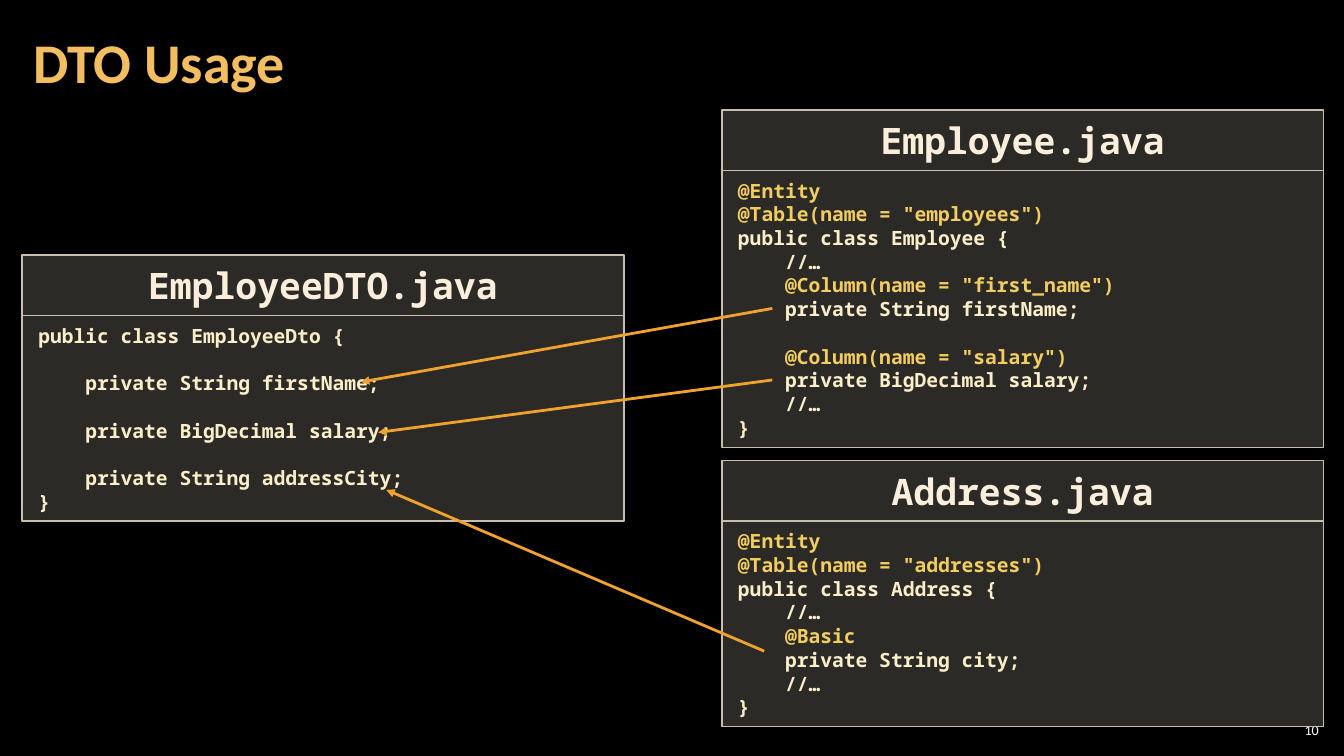
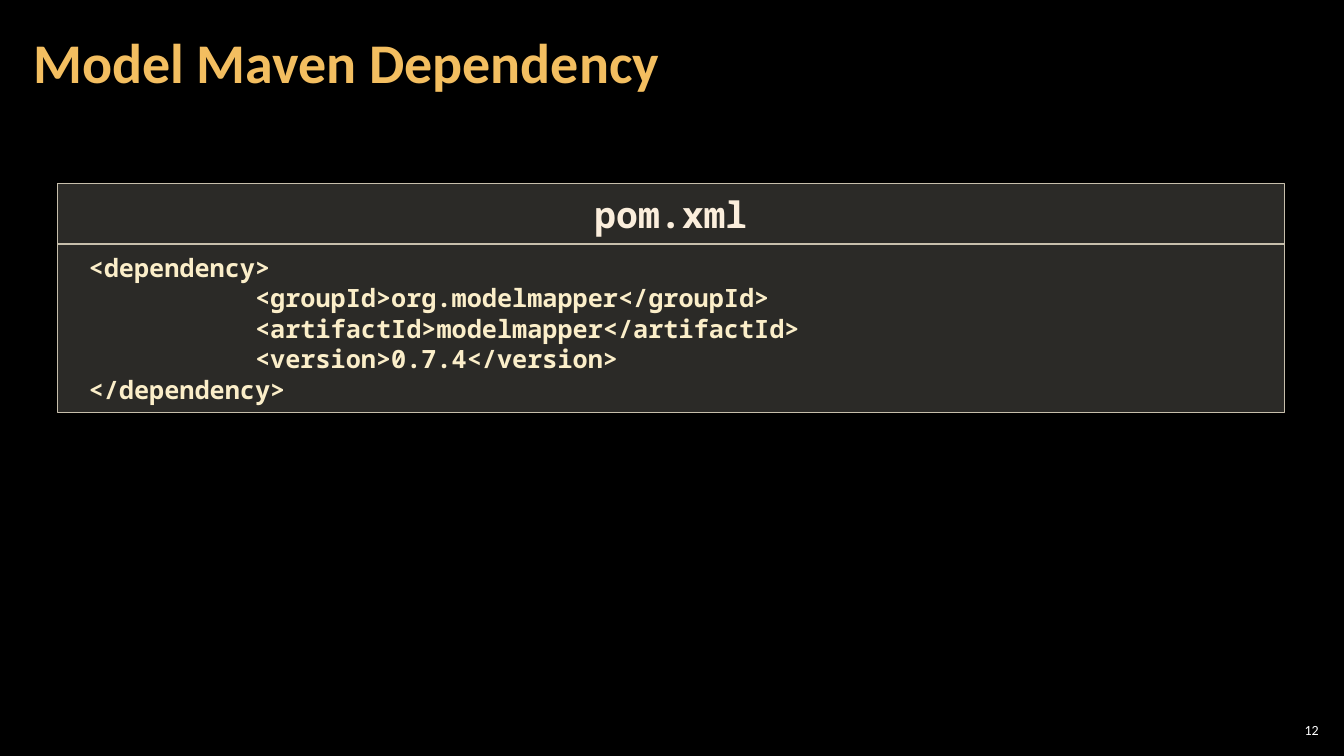
from dataclasses import dataclass

from lxml.etree import SubElement
from pptx import Presentation
from pptx.dml.color import RGBColor
from pptx.enum.shapes import MSO_CONNECTOR, MSO_SHAPE
from pptx.enum.text import MSO_ANCHOR, PP_ALIGN
from pptx.oxml.ns import qn
from pptx.util import Pt

EMU_PER_PX = 9144
PX_PER_POINT = 100 / 72
TITLE_ONLY = 5
HEADER_HEIGHT = 60


@dataclass(frozen=True)
class Theme:
    background: str = "000000"
    title: str = "F3BE60"
    page_number: str = "FFFFFF"
    panel: str = "D9D5C7"
    panel_opacity: int = 20
    border: str = "C7BFAC"
    file_name: str = "FBEEDC"
    code: str = "FBEEC9"
    annotation: str = "F3CD60"
    arrow: str = "F0A22E"
    text_font: str = "Calibri"
    code_font: str = "Noto Sans Mono"
    title_size: int = 40
    page_number_size: int = 10
    file_name_size: int = 26
    code_size: int = 14
    large_code_size: int = 18
    code_leading: float = 1.21


THEME = Theme()

EMPLOYEE = """@Entity
@Table(name = "employees")
public class Employee {
    //…
    @Column(name = "first_name")
    private String firstName;

    @Column(name = "salary")
    private BigDecimal salary;
    //…
}"""

ADDRESS = """@Entity
@Table(name = "addresses")
public class Address {
    //…
    @Basic
    private String city;
    //…
}"""

EMPLOYEE_DTO = """public class EmployeeDto {

    private String firstName;

    private BigDecimal salary;

    private String addressCity;
}"""

DEPENDENCY = """ <dependency>
            <groupId>org.modelmapper</groupId>
            <artifactId>modelmapper</artifactId>
            <version>0.7.4</version>
 </dependency>"""


def px(length):
    return int(length * EMU_PER_PX)


def color(value):
    return RGBColor.from_string(value)


def style(paragraph, font_name, size, text_color, bold=False, align=PP_ALIGN.LEFT):
    paragraph.alignment = align
    font = paragraph.font
    font.name = font_name
    font.size = Pt(size)
    font.bold = bold
    font.color.rgb = color(text_color)


def set_frame(frame, side, top, anchor):
    frame.word_wrap = True
    frame.vertical_anchor = anchor
    frame.margin_left = frame.margin_right = px(side)
    frame.margin_top = frame.margin_bottom = px(top)


def add_page_number(slide, number):
    box = slide.shapes.add_textbox(px(1265), px(714), px(47), px(21))
    set_frame(box.text_frame, 4, 4, MSO_ANCHOR.MIDDLE)
    paragraph = box.text_frame.paragraphs[0]
    paragraph.text = str(number)
    style(paragraph, THEME.text_font, THEME.page_number_size,
          THEME.page_number, align=PP_ALIGN.RIGHT)


def set_title(slide, text):
    title = slide.shapes.title
    title.left, title.top, title.width, title.height = map(px, (21, 4, 1047, 121))
    set_frame(title.text_frame, 12, 4, MSO_ANCHOR.MIDDLE)
    paragraph = title.text_frame.paragraphs[0]
    paragraph.text = text
    paragraph.line_spacing = 0.9
    style(paragraph, THEME.text_font, THEME.title_size, THEME.title, bold=True)


def add_slide(presentation, title, number):
    slide = presentation.slides.add_slide(presentation.slide_layouts[TITLE_ONLY])
    set_title(slide, title)
    add_page_number(slide, number)
    return slide


def add_panel(slide, left, top, width, height):
    shape = slide.shapes.add_shape(
        MSO_SHAPE.RECTANGLE, px(left), px(top), px(width), px(height))
    shape.shadow.inherit = False
    shape.fill.solid()
    shape.fill.fore_color.rgb = color(THEME.panel)
    fill_color = shape.fill._xPr.find(qn("a:solidFill")).find(qn("a:srgbClr"))
    SubElement(fill_color, qn("a:alpha"), val=str(THEME.panel_opacity * 1000))
    shape.line.color.rgb = color(THEME.border)
    shape.line.width = Pt(1)
    set_frame(shape.text_frame, 16, 8, MSO_ANCHOR.TOP)
    return shape.text_frame


def write_code(frame, code, size, pitch):
    paragraph = frame.paragraphs[0]
    blank_lines = 0
    for index, line in enumerate(code.splitlines()):
        if not line:
            blank_lines += 1
            continue
        if index:
            paragraph = frame.add_paragraph()
        paragraph.text = line
        paragraph.line_spacing = Pt(pitch)
        if blank_lines:
            paragraph.space_before = Pt(blank_lines * pitch)
            blank_lines = 0
        is_annotation = line.lstrip().startswith("@")
        style(paragraph, THEME.code_font, size,
              THEME.annotation if is_annotation else THEME.code, bold=True)


def add_code_file(slide, name, code, left, top, width, size=THEME.code_size):
    pitch = size * THEME.code_leading
    height = round(16 + len(code.splitlines()) * pitch * PX_PER_POINT)
    body = add_panel(slide, left, top + HEADER_HEIGHT, width, height)
    write_code(body, code, size, pitch)

    header = add_panel(slide, left, top, width, HEADER_HEIGHT)
    paragraph = header.paragraphs[0]
    paragraph.text = name
    paragraph.line_spacing = Pt(THEME.file_name_size * THEME.code_leading)
    style(paragraph, THEME.code_font, THEME.file_name_size,
          THEME.file_name, bold=True, align=PP_ALIGN.CENTER)


def add_arrow(slide, start, end):
    arrow = slide.shapes.add_connector(
        MSO_CONNECTOR.STRAIGHT, *map(px, start + end))
    arrow.line.color.rgb = color(THEME.arrow)
    arrow.line.width = Pt(2)
    SubElement(arrow.line._get_or_add_ln(), qn("a:tailEnd"), type="triangle")
    SubElement(arrow._element.spPr, qn("a:effectLst"))


def add_usage_slide(presentation):
    slide = add_slide(presentation, "DTO Usage", 10)
    for name, code, left, top in (
        ("Employee.java", EMPLOYEE, 716, 109),
        ("Address.java", ADDRESS, 716, 457),
        ("EmployeeDTO.java", EMPLOYEE_DTO, 22, 253),
    ):
        add_code_file(slide, name, code, left, top, 597)
    for start, end in (
        ((758, 646), (383, 486)),
        ((766, 377), (375, 429)),
        ((766, 306), (358, 379)),
    ):
        add_arrow(slide, start, end)


def add_dependency_slide(presentation):
    slide = add_slide(presentation, "Model Maven Dependency", 12)
    add_code_file(slide, "pom.xml", DEPENDENCY, 57, 182, 1217,
                  THEME.large_code_size)


def main():
    presentation = Presentation()
    presentation.slide_width = px(1333)
    presentation.slide_height = px(750)
    background = presentation.slide_master.background.fill
    background.solid()
    background.fore_color.rgb = color(THEME.background)
    add_usage_slide(presentation)
    add_dependency_slide(presentation)
    presentation.save("out.pptx")


if __name__ == "__main__":
    main()
